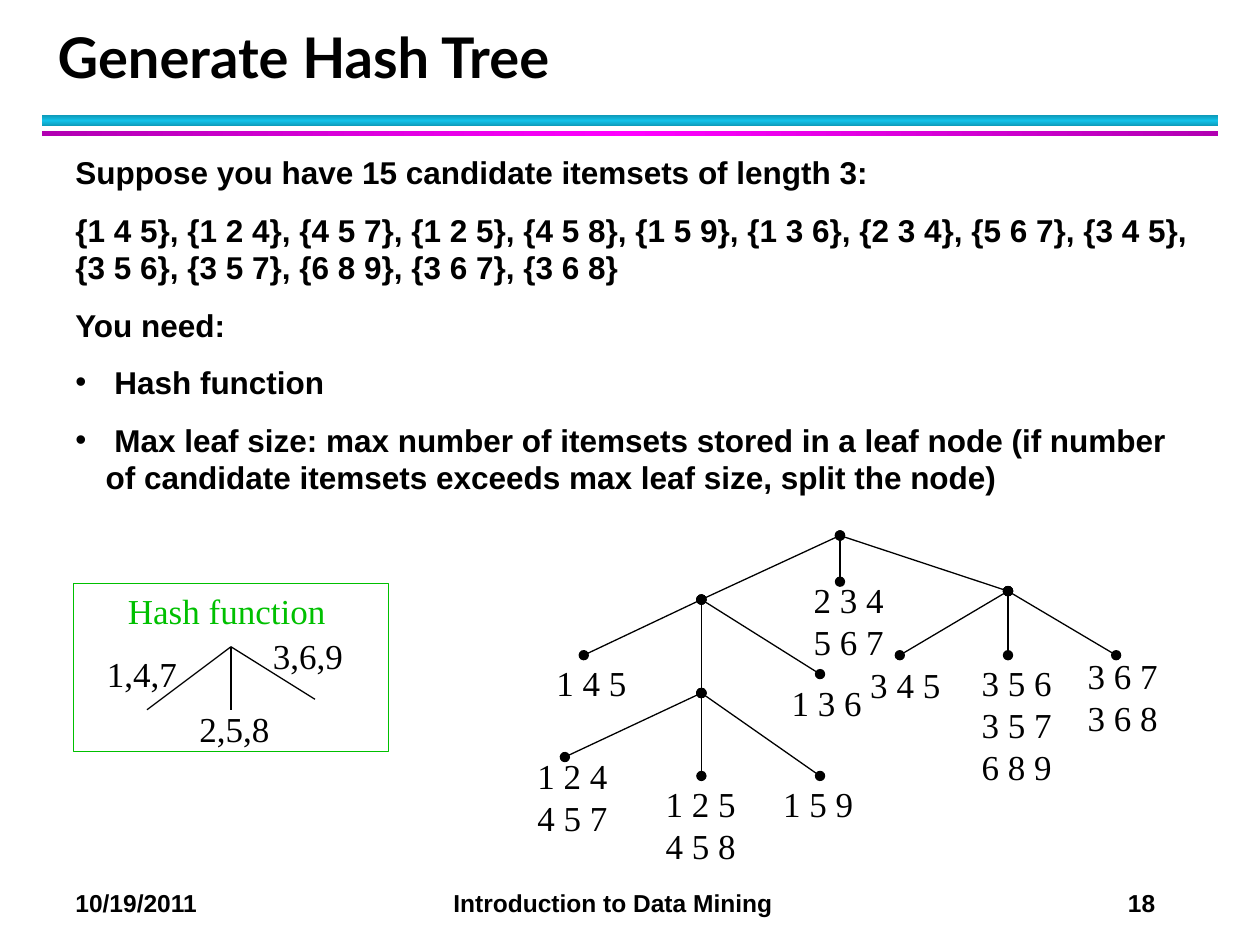
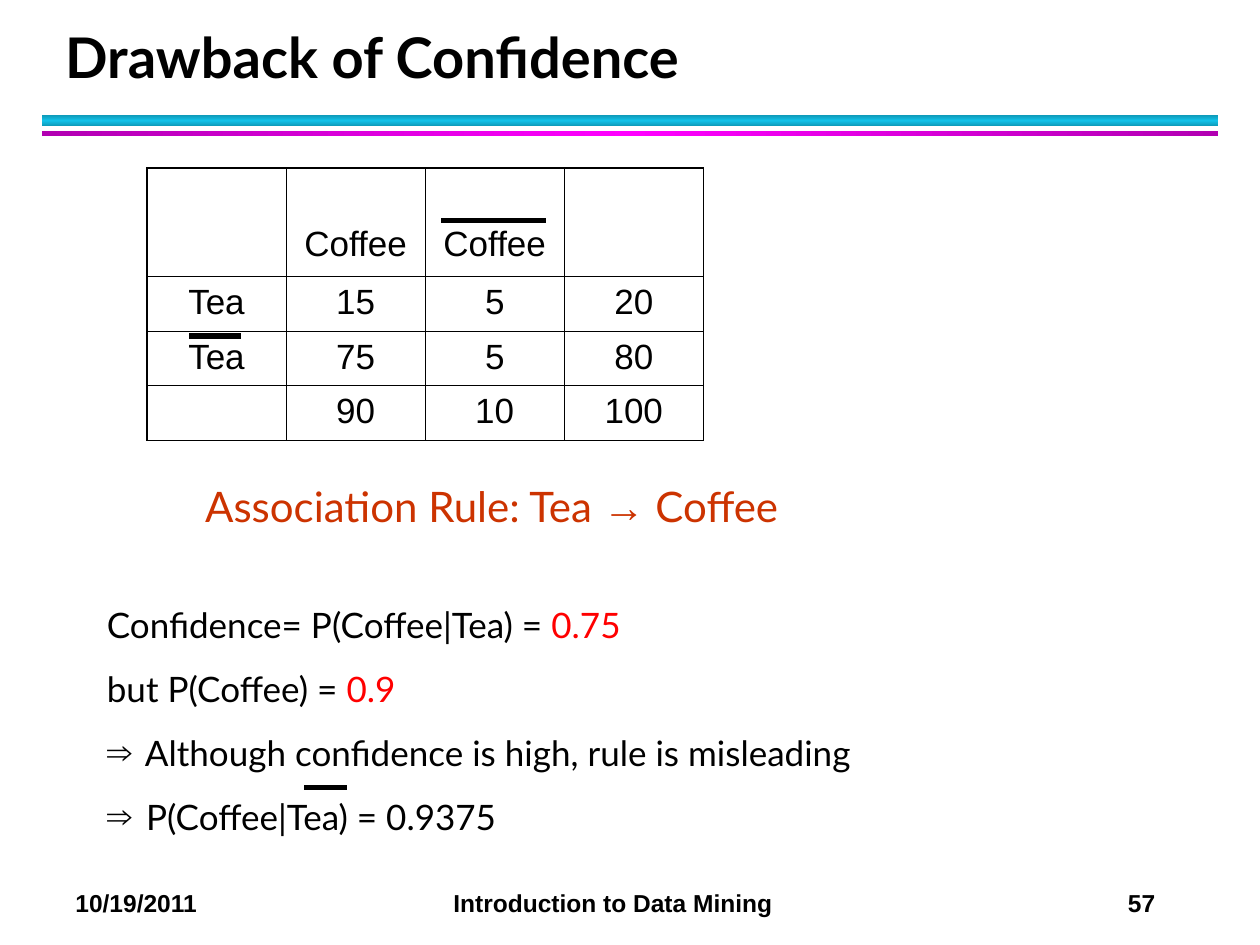
from dataclasses import dataclass

from lxml.etree import SubElement
from pptx import Presentation
from pptx.dml.color import RGBColor
from pptx.enum.shapes import MSO_CONNECTOR, MSO_SHAPE
from pptx.enum.text import MSO_ANCHOR, MSO_AUTO_SIZE, PP_ALIGN
from pptx.oxml import parse_xml
from pptx.oxml.ns import nsdecls, qn
from pptx.util import Inches, Pt


@dataclass(frozen=True)
class Theme:
    black: str = "000000"
    green: str = "00C000"
    rust: str = "CC3300"
    red: str = "FF0000"
    cyan_band: tuple = ("0E9BBA", "12C2E9")
    magenta_band: tuple = ("B200B2", "FF00FF")
    heading_font: str = "Lato"
    body_font: str = "Arial"
    tree_font: str = "Times New Roman"
    title_size: float = 32
    rule_size: float = 24
    text_size: float = 20
    body_size: float = 18
    footer_size: float = 14


THEME = Theme()
COLUMNS, ROWS = 120, 90  # slide grid: every cell is 1/12 inch
CELL = Inches(10) / COLUMNS
BULLET_INDENT = 0.24


@dataclass(frozen=True)
class Box:
    """A region of the slide, in grid columns and rows."""
    left: float
    top: float
    width: float
    height: float

    def inner(self, left, top, width, height):
        return Box(self.left + left, self.top + top, width, height)

    def point(self, x, y):
        return round((self.left + x) * CELL), round((self.top + y) * CELL)

    def frame(self):
        return (*self.point(0, 0), round(self.width * CELL), round(self.height * CELL))


@dataclass(frozen=True)
class Node:
    """A tree node; a leaf has itemsets, and a shift from node to label."""
    x: float
    y: float
    children: tuple = ()
    itemsets: tuple = ()
    shift: tuple = (0, 0)


TREE = Node(30, 0, (
    Node(16.8, 6.1, (
        Node(5.6, 11.4, itemsets=("1 4 5",), shift=(-3.8, 0)),
        Node(16.8, 15, (
            Node(3.8, 21.1, itemsets=("1 2 4", "4 5 7"), shift=(-3.8, -0.8)),
            Node(16.8, 22.9, itemsets=("1 2 5", "4 5 8"), shift=(-4.6, 0)),
            Node(28.1, 22.9, itemsets=("1 5 9",), shift=(-4.7, 0)),
        )),
        Node(28.1, 13.2, itemsets=("1 3 6",), shift=(-3.9, 0.1)),
    )),
    Node(30, 4.4, itemsets=("2 3 4", "5 6 7"), shift=(-3.7, -0.9)),
    Node(46, 5.3, (
        Node(35.7, 11.4, itemsets=("3 4 5",), shift=(-4, 0.2)),
        Node(46, 11.4, itemsets=("3 5 6", "3 5 7", "6 8 9"), shift=(-3.7, 0)),
        Node(56.3, 11.4, itemsets=("3 6 7", "3 6 8"), shift=(-3.9, -0.7)),
    )),
))


# Shared drawing helpers
def style(span, size, font, color=THEME.black, bold=False):
    span.font.size, span.font.name, span.font.bold = Pt(size), font, bold
    span.font.color.rgb = RGBColor.from_string(color)


def add_text(page, box, lines, size, font, color=THEME.black, bold=False):
    frame = page.shapes.add_textbox(*box.frame()).text_frame
    frame.word_wrap = True
    frame.text = "\n".join(lines)
    for para in frame.paragraphs:
        for span in para.runs:
            style(span, size, font, color, bold)
    return frame


def add_bullet(para, mark):
    properties = para._p.get_or_add_pPr()
    properties.set("marL", str(Inches(BULLET_INDENT)))
    properties.set("indent", str(-Inches(BULLET_INDENT)))
    SubElement(properties, qn("a:buFont"), typeface=THEME.body_font)
    SubElement(properties, qn("a:buChar"), char=mark)


def add_line(page, box, start, end, width=0.75, dots=False):
    line = page.shapes.add_connector(
        MSO_CONNECTOR.STRAIGHT, *box.point(*start), *box.point(*end))
    line.line.width = Pt(width)
    line.line.color.rgb = RGBColor.from_string(THEME.black)
    if dots:
        outline = line.line._get_or_add_ln()
        for name in ("a:headEnd", "a:tailEnd"):
            SubElement(outline, qn(name), type="oval")
    SubElement(line._element.spPr, qn("a:effectLst"))


def add_overbar(page, box, x, y, length):
    add_line(page, box, (x, y), (x + length, y), width=3)


def add_band(page, box, colors, angle):
    band = page.shapes.add_shape(MSO_SHAPE.RECTANGLE, *box.frame())
    band.shadow.inherit = False
    band.line.fill.background()
    edge, middle = colors
    stops = "".join(
        f'<a:gs pos="{share * 1000}"><a:srgbClr val="{color}"/></a:gs>'
        for share, color in ((0, edge), (50, middle), (100, edge)))
    band._element.spPr.find(qn("a:prstGeom")).addnext(parse_xml(
        f'<a:gradFill {nsdecls("a")}><a:gsLst>{stops}</a:gsLst>'
        f'<a:lin ang="{angle * 60000}" scaled="0"/></a:gradFill>'))


# Title, bands and footer of every slide
def add_page(deck, title, number, title_left):
    page = deck.slides.add_slide(deck.slide_layouts[5])
    add_band(page, Box(4, 11, 112, 1), THEME.cyan_band, 90)
    add_band(page, Box(4, 12.5, 112, 0.5), THEME.magenta_band, 0)

    heading = page.shapes.title
    heading.left, heading.top, heading.width, heading.height = (
        Box(title_left, 2.1, 108.7, 7).frame())
    heading.text_frame.text = title
    heading.text_frame.vertical_anchor = MSO_ANCHOR.BOTTOM
    para = heading.text_frame.paragraphs[0]
    para.alignment, para.line_spacing = PP_ALIGN.LEFT, Pt(36)
    style(para.runs[0], THEME.title_size, THEME.heading_font, bold=True)

    footer = add_text(page, Box(6, 84, 112, 4),
                      [f"10/19/2011\tIntroduction to Data Mining\t{number}"],
                      THEME.footer_size, THEME.body_font, bold=True)
    tabs = SubElement(footer.paragraphs[0]._p.get_or_add_pPr(), qn("a:tabLst"))
    for place, side in ((3, "l"), (8.57, "r")):
        SubElement(tabs, qn("a:tab"), pos=str(Inches(place)), algn=side)
    return page


# Slide 18: hash tree
def add_label(page, box, lines, x, y, width=9.2, color=THEME.black):
    frame = add_text(page, box.inner(x, y, width, 1.3 + 4 * len(lines)), lines,
                     THEME.text_size, THEME.tree_font, color)
    frame.word_wrap = False
    frame.auto_size = MSO_AUTO_SIZE.SHAPE_TO_FIT_TEXT


def add_branches(page, box, node):
    for child in node.children:
        add_line(page, box, (node.x, node.y), (child.x, child.y), dots=True)
        add_branches(page, box, child)
    if node.itemsets:
        add_label(page, box, node.itemsets,
                  node.x + node.shift[0], node.y + node.shift[1])


def add_hash_function(page, box):
    for end in ((7, 12), (15, 12), (23, 11)):
        add_line(page, box, (15, 6), end)
    for text, x, y in (("1,4,7", 2, 6), ("2,5,8", 10.8, 11.2), ("3,6,9", 17.8, 4.2)):
        add_label(page, box, [text], x, y)
    add_label(page, box, ["Hash function"], 4, 0, 21.3, THEME.green)
    border = page.shapes.add_shape(MSO_SHAPE.RECTANGLE, *box.frame())
    border.shadow.inherit = False
    border.fill.background()
    border.line.width = Pt(0.75)
    border.line.color.rgb = RGBColor.from_string(THEME.green)


def add_requirements(page, box):
    frame = add_text(page, box, [
        "Suppose you have 15 candidate itemsets of length 3:",
        "{1 4 5}, {1 2 4}, {4 5 7}, {1 2 5}, {4 5 8}, {1 5 9}, {1 3 6}, {2 3 4}, "
        "{5 6 7}, {3 4 5}, {3 5 6}, {3 5 7}, {6 8 9}, {3 6 7}, {3 6 8}",
        "You need:",
        " Hash function",
        " Max leaf size: max number of itemsets stored in a leaf node (if number of "
        "candidate itemsets exceeds max leaf size, split the node)",
    ], THEME.body_size, THEME.body_font, bold=True)
    for para in frame.paragraphs[3:]:
        add_bullet(para, "•")
    for para in frame.paragraphs[1:]:
        para.space_before = Pt(11.2)


def build_hash_tree(deck):
    page = add_page(deck, "Generate Hash Tree", 18, title_left=4.3)
    add_branches(page, Box(50, 51, 62, 32), TREE)
    add_hash_function(page, Box(7, 55.6, 30, 16))
    add_requirements(page, Box(6, 14, 109, 34))


# Slide 57: confidence
def set_borders(cell, row, column, last):
    properties = cell._tc.get_or_add_tcPr()
    outer = {"L": column == 0, "R": column == last, "T": row == 0, "B": row == last}
    for side, is_outer in outer.items():
        properties.append(parse_xml(
            f'<a:ln{side} {nsdecls("a")} w="{Pt(1.08 if is_outer else 0.45)}">'
            f'<a:solidFill><a:srgbClr val="{THEME.black}"/></a:solidFill></a:ln{side}>'))


def add_counts(page, box):
    counts = (("", "Coffee", "Coffee", ""),
              ("Tea", "15", "5", "20"),
              ("Tea", "75", "5", "80"),
              ("", "90", "10", "100"))
    size = len(counts)
    table = page.shapes.add_table(size, size, *box.frame()).table
    table.first_row = table.horz_banding = False
    for row, texts in enumerate(counts):
        # The header row is twice as high as the others
        table.rows[row].height = round(box.height * CELL * (1 if row else 2) / (size + 1))
        for column, text in enumerate(texts):
            cell = table.cell(row, column)
            set_borders(cell, row, column, size - 1)
            cell.fill.background()
            cell.text = text
            if row == 0:
                cell.vertical_anchor, cell.margin_bottom = MSO_ANCHOR.BOTTOM, Inches(0.1)
            para = cell.text_frame.paragraphs[0]
            para.alignment = PP_ALIGN.CENTER
            for span in para.runs:
                style(span, THEME.text_size, THEME.body_font)
    add_overbar(page, box, 28, 5, 10)
    add_overbar(page, box, 4, 16, 5)


def add_rule(page, box):
    lines = ((("Association Rule: Tea ", THEME.rust), ("→", THEME.rust),
              (" Coffee", THEME.rust)),
             (("Confidence= P(Coffee|Tea) = ", THEME.black), ("0.75", THEME.red)),
             (("but P(Coffee) = ", THEME.black), ("0.9", THEME.red)),
             ((" Although confidence is high, rule is misleading", THEME.black),),
             ((" P(Coffee|Tea) = 0.9375", THEME.black),))
    frame = page.shapes.add_textbox(*box.frame()).text_frame
    frame.word_wrap = True
    for index, spans in enumerate(lines):
        para = frame.add_paragraph() if index else frame.paragraphs[0]
        if index >= 3:
            add_bullet(para, "⇒")
        if index:
            para.space_before = Pt(41.3 if index == 1 else 12.5)
        else:
            para._p.get_or_add_pPr().set("marL", str(Inches(0.78)))
        for text, color in spans:
            span = para.add_run()
            span.text = text
            style(span, THEME.text_size if index else THEME.rule_size,
                  THEME.body_font if text == "→" else THEME.heading_font, color)
    add_overbar(page, box, 20, 29.8, 4)


def build_confidence(deck):
    page = add_page(deck, "Drawback of Confidence", 57, title_left=5)
    add_counts(page, Box(14, 16, 53, 25.8))
    add_rule(page, Box(9, 45.2, 97, 35.2))


def main():
    deck = Presentation()
    deck.slide_width, deck.slide_height = round(COLUMNS * CELL), round(ROWS * CELL)
    build_hash_tree(deck)
    build_confidence(deck)
    deck.save("out.pptx")


if __name__ == "__main__":
    main()
